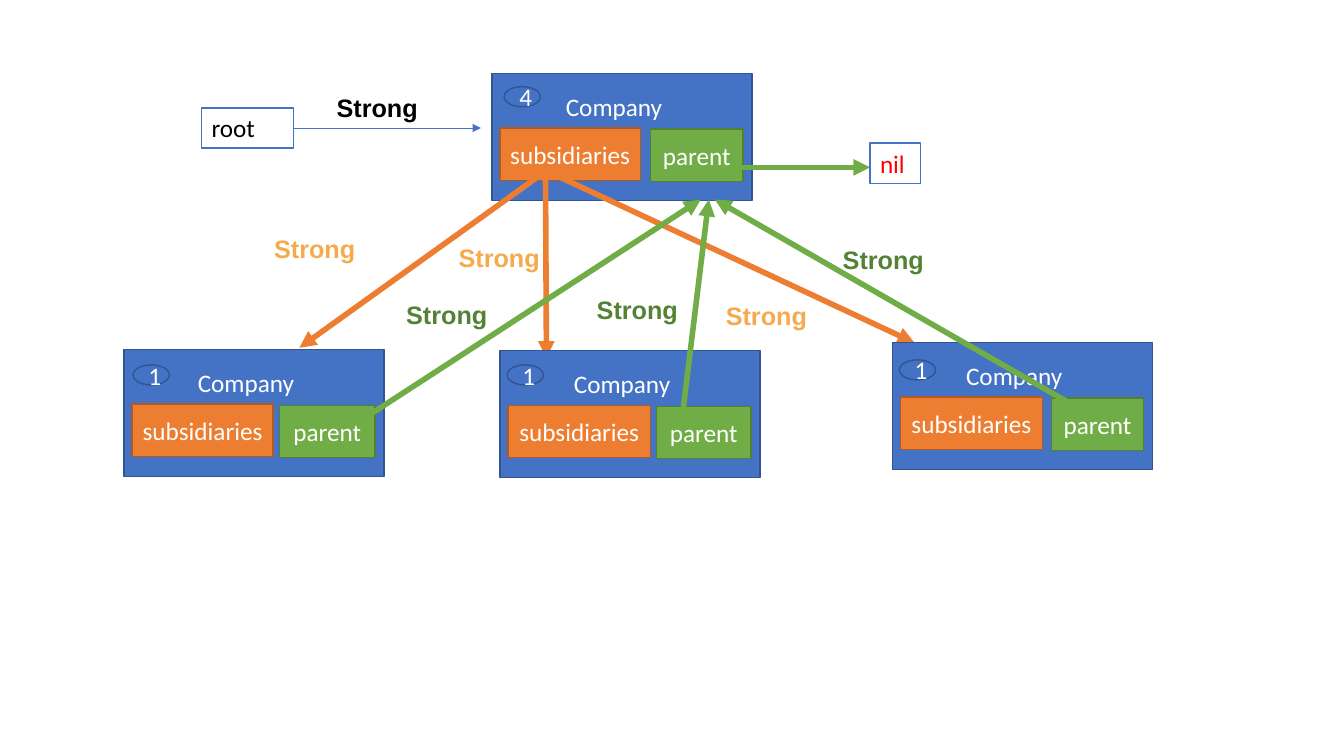
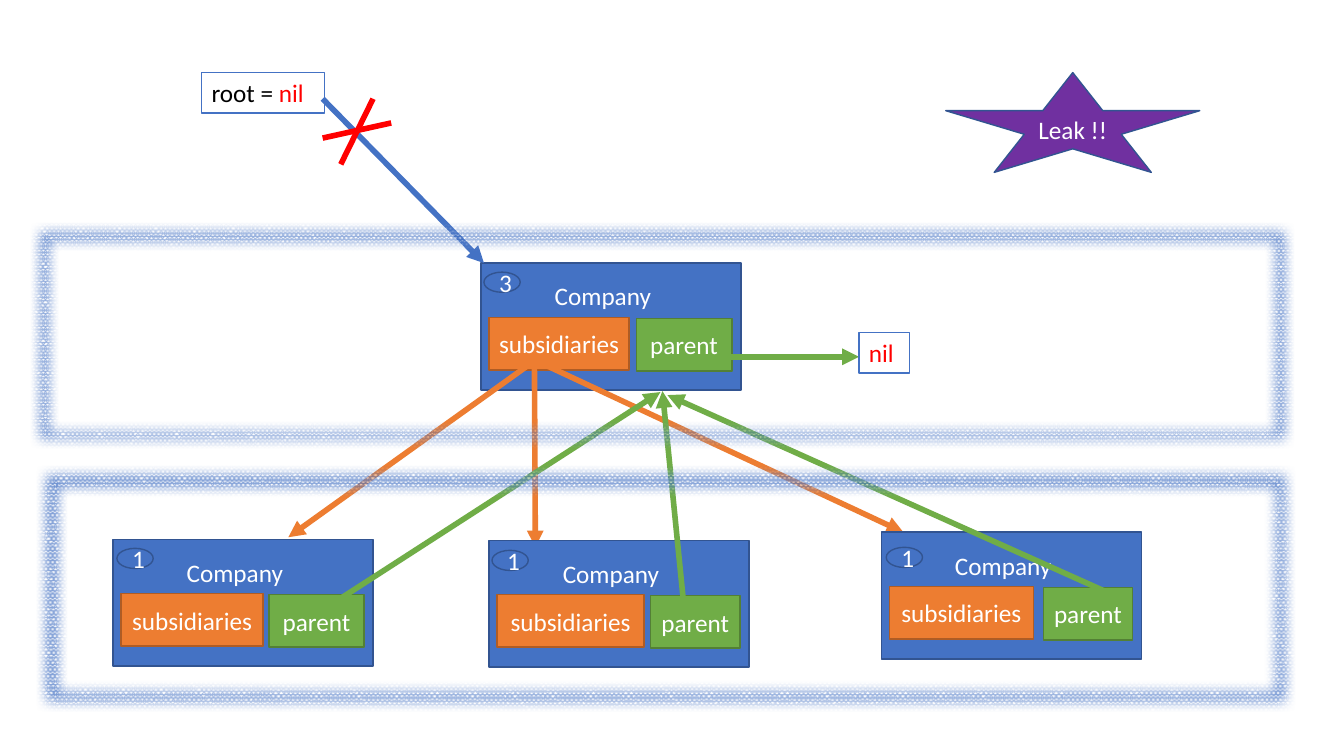
import dataclasses

import lxml.etree
import pptx
import pptx.dml.color
import pptx.enum.dml
import pptx.enum.shapes
import pptx.enum.text
import pptx.oxml.ns
import pptx.util

Inches = pptx.util.Inches
Pt = pptx.util.Pt
SHAPES = pptx.enum.shapes.MSO_SHAPE
ANCHORS = pptx.enum.text.MSO_ANCHOR
ALIGNMENTS = pptx.enum.text.PP_ALIGN
qualified = pptx.oxml.ns.qn


@dataclasses.dataclass(frozen=True)
class Theme:
    blue: str = "4472C4"
    blue_edge: str = "325491"
    orange: str = "ED7D31"
    orange_edge: str = "AF5C24"
    orange_label: str = "F5AA4D"
    green: str = "70AD47"
    green_edge: str = "538035"
    green_label: str = "548235"
    red: str = "FF0000"
    purple: str = "7030A0"
    pale_blue: str = "B4C7E7"
    white: str = "FFFFFF"
    black: str = "000000"
    body_font: str = "Calibri"
    label_font: str = "Arial"
    text_size: float = 18
    edge_width: float = 1
    thin_arrow: float = 0.5
    thick_arrow: float = 4
    soft_edge: float = 9


THEME = Theme()


def rgb(value):
    return pptx.dml.color.RGBColor.from_string(value)


def add_text(paragraph, text, *, color=THEME.white, font=THEME.body_font, bold=False):
    run = paragraph.add_run()
    run.text = text
    run.font.name = font
    run.font.size = Pt(THEME.text_size)
    run.font.bold = bold
    run.font.color.rgb = rgb(color)


class Deck:
    company_width = 2.58
    company_height = 1.26
    field_height = 0.52
    label_height = 0.4

    def __init__(self, theme):
        self.theme = theme
        self.presentation = pptx.Presentation()
        self.presentation.slide_width = Inches(13.33)
        self.presentation.slide_height = Inches(7.5)
        self.slide = None

    def new_slide(self):
        self.slide = self.presentation.slides.add_slide(self.presentation.slide_layouts[6])

    def box(self, left, top, width, height, fill, edge=None, text="", kind=SHAPES.RECTANGLE):
        shape = self.slide.shapes.add_shape(
            kind, Inches(left), Inches(top), Inches(width), Inches(height))
        shape.shadow.inherit = False
        shape.fill.solid()
        shape.fill.fore_color.rgb = rgb(fill)
        if edge:
            shape.line.color.rgb = rgb(edge)
            shape.line.width = Pt(self.theme.edge_width)
        else:
            shape.line.fill.background()
        if text:
            shape.text_frame.word_wrap = True
            shape.text_frame.vertical_anchor = ANCHORS.MIDDLE
            paragraph = shape.text_frame.paragraphs[0]
            paragraph.alignment = ALIGNMENTS.CENTER
            add_text(paragraph, text)
        return shape

    def variable(self, left, top, width, *parts):
        shape = self.box(left, top, width, self.label_height, self.theme.white, self.theme.blue)
        shape.text_frame.word_wrap = True
        shape.text_frame.vertical_anchor = ANCHORS.TOP
        shape.text_frame.auto_size = pptx.enum.text.MSO_AUTO_SIZE.SHAPE_TO_FIT_TEXT
        paragraph = shape.text_frame.paragraphs[0]
        paragraph.alignment = ALIGNMENTS.LEFT
        for text, color in parts:
            add_text(paragraph, text, color=color)

    def strong_label(self, left, top, color):
        shape = self.slide.shapes.add_textbox(
            Inches(left), Inches(top), Inches(1.02), Inches(self.label_height))
        shape.text_frame.word_wrap = False
        add_text(shape.text_frame.paragraphs[0], "Strong",
                 color=color, font=self.theme.label_font, bold=True)

    def line(self, start, end, color, width=THEME.thick_arrow, arrow=True):
        connector = self.slide.shapes.add_connector(
            pptx.enum.shapes.MSO_CONNECTOR.STRAIGHT, *map(Inches, start + end))
        connector.line.color.rgb = rgb(color)
        connector.line.width = Pt(width)
        if arrow:
            line_element = connector.line._get_or_add_ln()
            lxml.etree.SubElement(line_element, qualified("a:tailEnd"), type="triangle")
        properties = connector._element.spPr
        lxml.etree.SubElement(properties, qualified("a:effectLst"))

    def company(self, left, top, count, badge, subsidiaries_width, parent_width):
        theme = self.theme
        parent_left = left + self.company_width - 0.09 - parent_width
        self.box(left, top, self.company_width, self.company_height, theme.blue, theme.blue_edge)
        self.box(left + 0.08, top + 0.54, subsidiaries_width, self.field_height,
                 theme.orange, theme.orange_edge, "subsidiaries")
        self.box(parent_left, top + 0.55, parent_width, self.field_height,
                 theme.green, theme.green_edge, "parent")
        self.box(left + 0.46, top + 0.14, 1.5, 0.37, theme.blue, text="Company")
        self.box(left + badge[0], top + badge[1], 0.36, 0.2, theme.blue, theme.blue_edge,
                 count, SHAPES.OVAL)

    def hierarchy(self, left, top, root, children, parent_arrows):
        theme = self.theme
        self.company(left, top, *root)
        self.line((left + 2.37, top + 0.93), (left + 3.75, top + 0.93), theme.green)
        self.variable(left + 3.75, top + 0.69, 0.5, ("nil", theme.red))
        subsidiary_arrows = (
            ((0.53, 0.97), (-1.91, 2.72)),
            ((0.53, 0.93), (0.54, 2.82)),
            ((0.55, 0.97), (4.19, 2.67)),
        )
        for start, end in subsidiary_arrows:
            self.line((left + start[0], top + start[1]),
                      (left + end[0], top + end[1]), theme.orange)
        child_offsets = ((-3.65, 2.74), (0.08, 2.75), (3.97, 2.67))
        for (across, down), child in zip(child_offsets, children):
            self.company(left + across, top + down, "1", *child)
        for start, end in parent_arrows:
            self.line(start, end, theme.green)

    def soft_frame(self, left, top, width, height):
        theme = self.theme
        shape = self.box(left, top, width, height, theme.white, theme.pale_blue,
                         kind=SHAPES.FRAME)
        shape.fill.patterned()
        shape.fill.pattern = pptx.enum.dml.MSO_PATTERN.PERCENT_90
        shape.fill.fore_color.rgb = rgb(theme.blue)
        shape.fill.back_color.rgb = rgb(theme.white)
        shape.line.width = Pt(0)
        shape.line.dash_style = pptx.enum.dml.MSO_LINE.ROUND_DOT
        effects = shape._element.spPr.find(qualified("a:effectLst"))
        lxml.etree.SubElement(effects, qualified("a:softEdge"), rad=str(Pt(theme.soft_edge)))


def build_references(deck):
    theme = deck.theme
    deck.new_slide()
    deck.line((2.55, 1.27), (4.77, 1.27), theme.blue, theme.thin_arrow)
    deck.variable(2, 1.07, 0.91, ("root", theme.black))
    deck.hierarchy(
        4.88, 0.73,
        root=("4", (0.12, 0.13), 1.39, 0.92),
        children=(((0.09, 0.15), 1.4, 0.95),
                  ((0.07, 0.14), 1.41, 0.94),
                  ((0.07, 0.17), 1.41, 0.91)),
        parent_arrows=(((3.52, 4.21), (6.95, 1.98)),
                       ((6.75, 4.27), (7.03, 1.98)),
                       ((10.8, 4.11), (7.09, 1.98))))
    labels = {
        theme.orange_label: ((2.62, 2.27), (4.45, 2.35), (7.1, 2.93)),
        theme.green_label: ((8.26, 2.37), (5.82, 2.87), (3.93, 2.92)),
        theme.black: ((3.24, 0.87),),
    }
    for color, positions in labels.items():
        for left, top in positions:
            deck.strong_label(left, top, color)


def build_leak(deck):
    theme = deck.theme
    deck.new_slide()
    deck.variable(2, 0.72, 1.22, ("root = ", theme.black), ("nil", theme.red))
    deck.hierarchy(
        4.77, 2.61,
        root=("3", (0.03, 0.09), 1.39, 0.95),
        children=(((0.04, 0.09), 1.41, 0.94),
                  ((0.03, 0.1), 1.46, 0.89),
                  ((0.05, 0.15), 1.43, 0.88)),
        parent_arrows=(((3.11, 6.11), (6.55, 3.89)),
                       ((6.78, 5.98), (6.57, 3.88)),
                       ((11.17, 5.96), (6.62, 3.92))))
    deck.line((3.2, 0.98), (4.8, 2.61), theme.blue)
    for start, end in (((3.7, 0.98), (3.38, 1.63)), ((3.88, 1.22), (3.2, 1.37))):
        deck.line(start, end, theme.red, arrow=False)
    deck.box(9.38, 0.72, 2.52, 0.99, theme.purple, theme.blue_edge, "Leak !!",
             SHAPES.STAR_5_POINT)
    deck.soft_frame(0.37, 4.62, 12.47, 2.43)
    deck.soft_frame(0.31, 2.21, 12.52, 2.24)


def main():
    deck = Deck(THEME)
    build_references(deck)
    build_leak(deck)
    deck.presentation.save("out.pptx")


if __name__ == "__main__":
    main()
